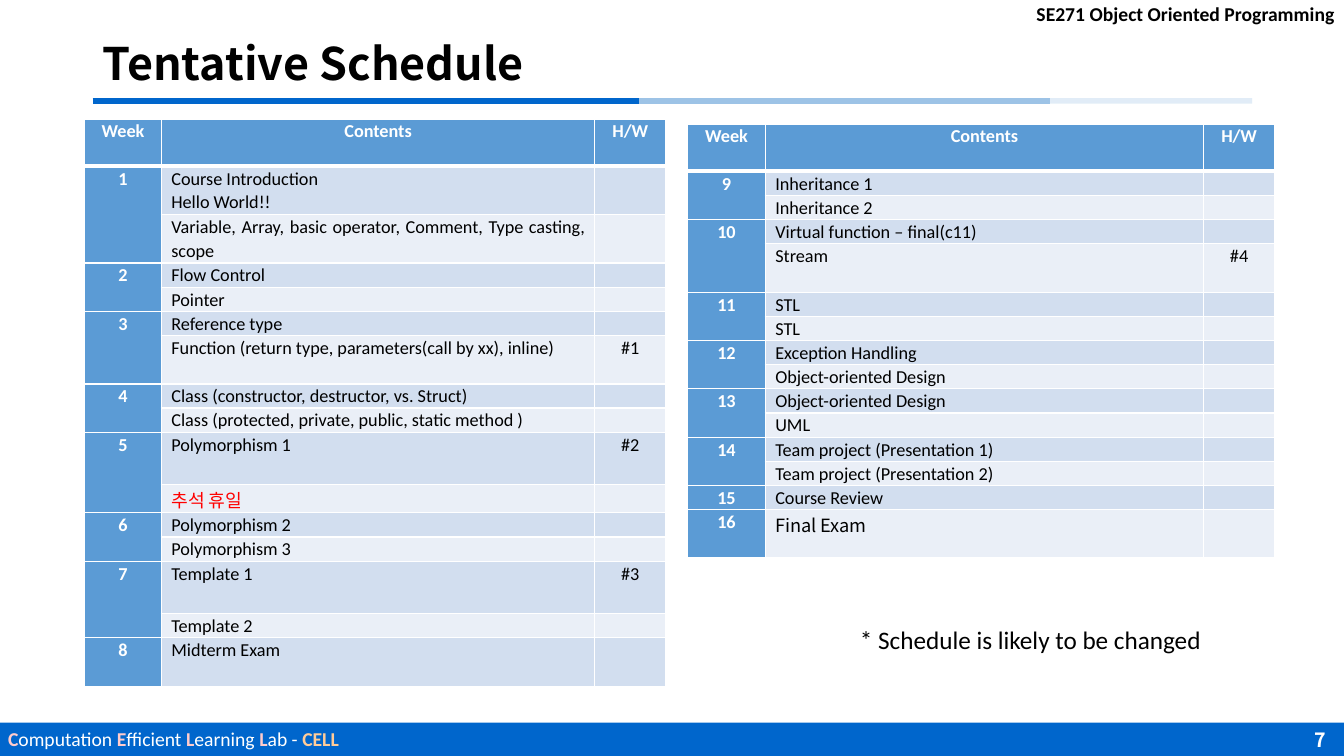
from lxml.etree import SubElement
from pptx import Presentation
from pptx.dml.color import RGBColor
from pptx.enum.shapes import MSO_CONNECTOR as Connector, MSO_SHAPE as Shape
from pptx.enum.text import MSO_ANCHOR as Anchor, PP_ALIGN as Align
from pptx.oxml.ns import qn
from pptx.util import Inches, Pt

COLORS = {
    "black": "000000", "white": "FFFFFF", "red": "FF0000",
    "bar": "0066CC", "rule": "9DC3E6", "head": "5B9BD5",
    "band_dark": "D2DEEF", "band_light": "EAEFF7",
    "initial": "FFCCCC", "lab": "FFCC99",
}
LATIN, KOREAN = "Calibri", "Noto Sans CJK KR"
LINE, TALL = 0.24, 0.48  # row heights in inches

# Each week: its number and its sessions as (content, homework, row height)
FIRST_HALF = [
    ("1", [("Course Introduction\nHello World!!", "", TALL),
           ("Variable, Array, basic operator, Comment, Type casting, scope", "", TALL)]),
    ("2", [("Flow Control", "", LINE), ("Pointer", "", LINE)]),
    ("3", [("Reference type", "", LINE),
           ("Function (return type, parameters(call by xx), inline)", "#1", TALL)]),
    ("4", [("Class (constructor, destructor, vs. Struct)", "", LINE),
           ("Class (protected, private, public, static method )", "", LINE)]),
    ("5", [("Polymorphism 1", "#2", 0.52), ("추석 휴일", "", 0.28)]),
    ("6", [("Polymorphism 2", "", LINE), ("Polymorphism 3", "", LINE)]),
    ("7", [("Template 1", "#3", 0.52), ("Template 2", "", LINE)]),
    ("8", [("Midterm Exam", "", TALL)]),
]
SECOND_HALF = [
    ("9", [("Inheritance 1", "", LINE), ("Inheritance 2", "", LINE)]),
    ("10", [("Virtual function – final(c11)", "", LINE), ("Stream", "#4", TALL)]),
    ("11", [("STL", "", LINE), ("STL", "", LINE)]),
    ("12", [("Exception Handling", "", LINE), ("Object-oriented Design", "", LINE)]),
    ("13", [("Object-oriented Design", "", LINE), ("UML", "", LINE)]),
    ("14", [("Team project (Presentation 1)", "", LINE),
            ("Team project (Presentation 2)", "", LINE)]),
    ("15", [("Course Review", "", LINE)]),
    ("16", [("Final Exam", "", TALL)]),
]
SPECIAL_STYLE = {"추석 휴일": ("red", KOREAN), "Final Exam": ("black", KOREAN)}


def rgb(name):
    return RGBColor.from_string(COLORS[name])


def add_run(paragraph, text, size, color="black", bold=False, face=LATIN):
    run = paragraph.add_run()
    run.text = text
    font = run.font
    font.size, font.bold, font.name = Pt(size), bold, face
    font.color.rgb = rgb(color)
    SubElement(font._element, qn("a:ea"), typeface=face)


def add_label(slide, box, runs, align=Align.LEFT, inset=None, anchor=Anchor.TOP):
    """Add a text box; each run is the arguments of add_run after the paragraph."""
    frame = slide.shapes.add_textbox(*map(Inches, box)).text_frame
    frame.word_wrap = True
    frame.vertical_anchor = anchor
    if inset is not None:
        frame.margin_left = frame.margin_right = Inches(inset)
        frame.margin_top = frame.margin_bottom = Inches(inset)
    paragraph = frame.paragraphs[0]
    paragraph.alignment = align
    for run in runs:
        add_run(paragraph, *run)


def add_rule(slide, start, end, y, color, alpha=None):
    rule = slide.shapes.add_connector(
        Connector.STRAIGHT, Inches(start), Inches(y), Inches(end), Inches(y))
    rule.line.width = Pt(4)
    rule.line.color.rgb = rgb(color)
    if alpha:
        tint = rule.line._ln.find(".//" + qn("a:srgbClr"))
        SubElement(tint, qn("a:alpha"), val=str(alpha * 1000))
    SubElement(rule._element.spPr, qn("a:effectLst"))


def add_header(slide, left, top, width):
    add_label(slide, (10.28, 0.02, 3.05, 0.25),
              [("SE271 Object Oriented Programming", 14, "black", True)], inset=0)
    title = slide.shapes.title
    title.left, title.top = Inches(left), Inches(top)
    title.width, title.height = Inches(width), Inches(0.6)
    frame = title.text_frame
    frame.vertical_anchor = Anchor.BOTTOM
    paragraph = frame.paragraphs[0]
    paragraph.alignment = Align.LEFT
    paragraph.line_spacing = 0.9
    add_run(paragraph, "Tentative Schedule", 32, "black", True, KOREAN)
    y = top + 0.65
    add_rule(slide, left + 0.7, left + width, y, "rule", 30)
    add_rule(slide, left, left + 5.42, y, "bar")
    add_rule(slide, left + 5.42, left + 9.49, y, "rule")


def add_footer(slide, top, width, height):
    bar = slide.shapes.add_shape(
        Shape.RECTANGLE, 0, Inches(top), Inches(width), Inches(height))
    bar.shadow.inherit = False
    bar.fill.solid()
    bar.fill.fore_color.rgb = rgb("bar")
    bar.line.fill.background()
    runs = []
    for initial, rest in (("C", "omputation "), ("E", "fficient "),
                          ("L", "earning "), ("L", "ab - ")):
        runs += [(initial, 14, "initial", True), (rest, 14, "white")]
    runs.append(("CELL", 14, "lab", True))
    add_label(slide, (0.08, top + 0.04, 4.5, 0.21), runs, inset=0)
    add_label(slide, (width - 1.4, top + 0.01, 1.32, 0.31),
              [("7", 14, "white", True, KOREAN)], Align.RIGHT, anchor=Anchor.MIDDLE)


def style_cell(cell, fill, top=1, bottom=1):
    """Set margins, white borders (in points) and fill."""
    cell.margin_left = cell.margin_right = Inches(0.1)
    cell.margin_top = cell.margin_bottom = 0
    properties = cell._tc.get_or_add_tcPr()
    for side, points in (("L", 1), ("R", 1), ("T", top), ("B", bottom)):
        border = SubElement(properties, qn("a:ln" + side), w=str(Pt(points)))
        SubElement(SubElement(border, qn("a:solidFill")), qn("a:srgbClr"),
                   val=COLORS["white"])
    cell.fill.solid()
    cell.fill.fore_color.rgb = rgb(fill)


def write_cell(cell, text, align, color="black", bold=False, face=LATIN):
    for i, line in enumerate(text.split("\n")):
        frame = cell.text_frame
        paragraph = frame.add_paragraph() if i else frame.paragraphs[0]
        paragraph.alignment = align
        paragraph.line_spacing = 1.07
        if line:
            add_run(paragraph, line, 13, color, bold, face)
        else:
            SubElement(paragraph._p, qn("a:endParaRPr"), sz="1200")


def add_schedule(slide, left, top, widths, weeks):
    heights = [0.47] + [height for _, days in weeks for _, _, height in days]
    table = slide.shapes.add_table(
        len(heights), 3, Inches(left), Inches(top),
        Inches(sum(widths)), Inches(sum(heights))).table
    for column, width in zip(table.columns, widths):
        column.width = Inches(width)
    for row, height in zip(table.rows, heights):
        row.height = Inches(height)
    for c, heading in enumerate(("Week", "Contents", "H/W")):
        style_cell(table.cell(0, c), "head", bottom=3)
        write_cell(table.cell(0, c), heading, Align.CENTER, "white", True)
    r = 1
    for week, days in weeks:
        first = table.cell(r, 0)
        write_cell(first, week, Align.CENTER, "white", True)
        if len(days) > 1:
            first.merge(table.cell(r + len(days) - 1, 0))
        for content, homework, _ in days:
            band = "band_dark" if r % 2 else "band_light"
            for c, fill in enumerate(("head", band, band)):
                style_cell(table.cell(r, c), fill, top=3 if r == 1 else 1)
            color, face = SPECIAL_STYLE.get(content, ("black", LATIN))
            write_cell(table.cell(r, 1), content, Align.JUSTIFY, color, face=face)
            write_cell(table.cell(r, 2), homework, Align.CENTER)
            r += 1


def main():
    deck = Presentation()
    deck.slide_width, deck.slide_height = Inches(13.33), Inches(7.5)
    slide = deck.slides.add_slide(deck.slide_layouts[5])
    add_header(slide, 0.92, 0.35, 11.5)
    add_footer(slide, 7.17, 13.33, 0.33)
    add_schedule(slide, 0.84, 1.18, (0.76, 4.3, 0.7), FIRST_HALF)
    add_schedule(slide, 6.82, 1.23, (0.77, 4.35, 0.7), SECOND_HALF)
    add_label(slide, (8.43, 6.14, 4.52, 0.42),
              [("* Schedule is likely to be changed", 18)])
    deck.save("out.pptx")


if __name__ == "__main__":
    main()
